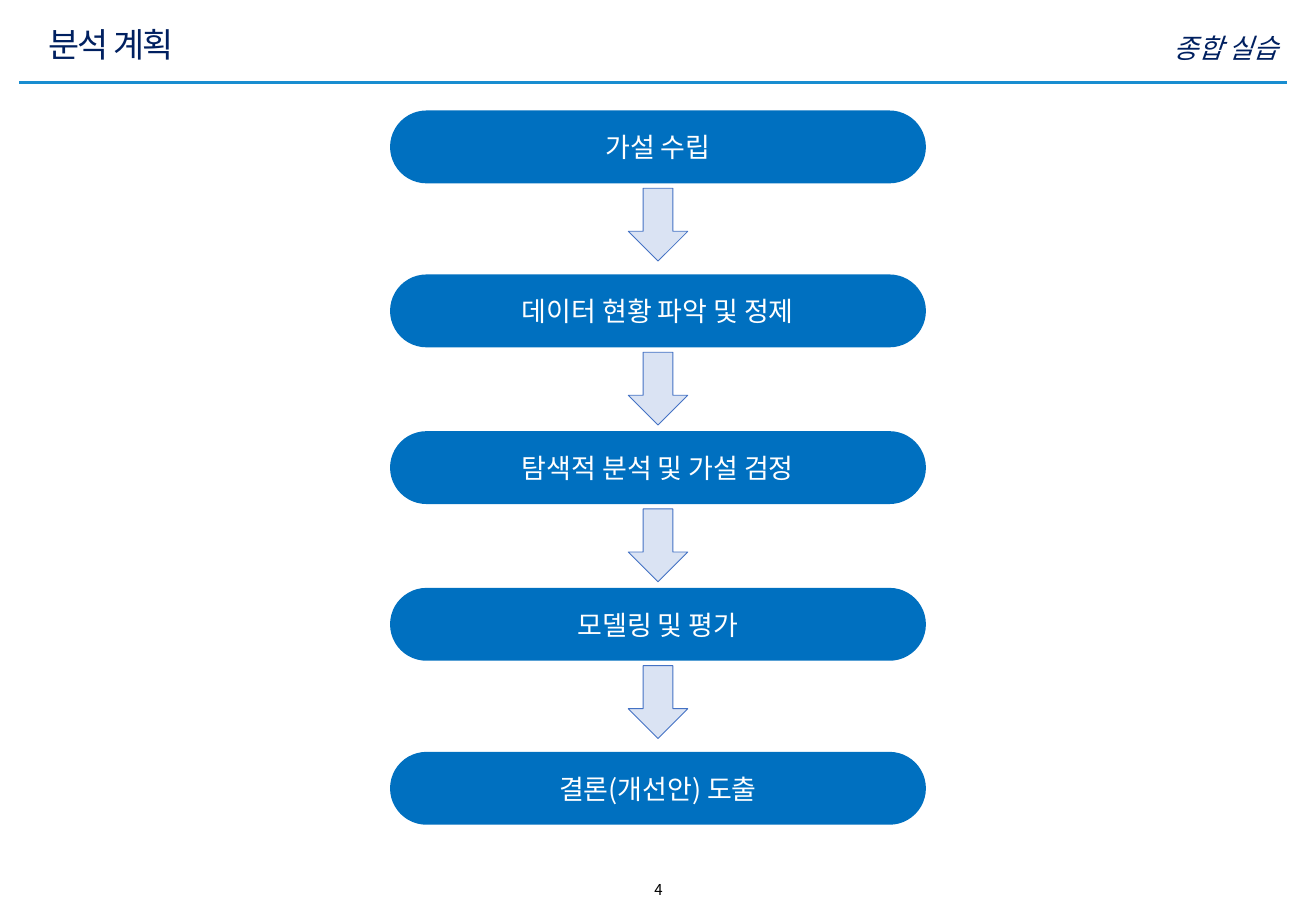
import pptx
import pptx.util
import pptx.dml.color
import pptx.enum.shapes
import pptx.enum.text
import pptx.oxml.ns
import lxml.etree

PX = 9144  # EMU per px, 100 px to the inch
FONT = "Noto Sans CJK KR"
COLORS = {
    "navy": "002060",
    "rule": "188DD0",
    "step": "0070C0",
    "arrow": "DAE3F3",
    "arrow_line": "4472C4",
    "white": "FFFFFF",
    "black": "000000",
}
# Step label and its top within the flow
STEPS = [
    ("가설 수립", 0),
    ("데이터 현황 파악 및 정제", 135),
    ("탐색적 분석 및 가설 검정", 264),
    ("모델링 및 평가", 393),
    ("결론(개선안) 도출", 528),
]
SHAPES = pptx.enum.shapes.MSO_SHAPE
ALIGN = pptx.enum.text.PP_ALIGN


def emu(*lengths):
    return [pptx.util.Emu(length * PX) for length in lengths]


def color(name):
    return pptx.dml.color.RGBColor.from_string(COLORS[name])


def write_text(shape, text, size, fill, align=ALIGN.CENTER, italic=False,
               spacing=None, wrap=True):
    """Put one formatted, vertically centred line into a shape."""
    frame = shape.text_frame
    frame.word_wrap = wrap
    frame.vertical_anchor = pptx.enum.text.MSO_ANCHOR.MIDDLE
    frame.margin_left, frame.margin_right = emu(10, 10)
    frame.margin_top = frame.margin_bottom = 0
    paragraph = frame.paragraphs[0]
    paragraph.alignment = align
    run = paragraph.add_run()
    run.text = text
    run.font.name = FONT
    run.font.size = pptx.util.Pt(size)
    run.font.italic = italic
    run.font.color.rgb = color(fill)
    properties = run.font._element
    latin = properties.find(pptx.oxml.ns.qn("a:latin"))
    east_asian = lxml.etree.Element(pptx.oxml.ns.qn("a:ea"), typeface=FONT)
    latin.addnext(east_asian)
    if spacing is not None:
        properties.set("spc", str(spacing * 100))


def add_text(slide, box, text, **style):
    write_text(slide.shapes.add_textbox(*emu(*box)), text, **style)


def add_block(slide, kind, box, fill, line=None):
    shape = slide.shapes.add_shape(kind, *emu(*box))
    shape.shadow.inherit = False
    shape.fill.solid()
    shape.fill.fore_color.rgb = color(fill)
    if line:
        shape.line.color.rgb = color(line)
        shape.line.width = pptx.util.Pt(0.5)
    else:
        shape.line.fill.background()
    return shape


def add_header(slide, box):
    left, top, width, height = box
    bottom = top + height
    rule = slide.shapes.add_connector(
        pptx.enum.shapes.MSO_CONNECTOR.STRAIGHT,
        *emu(left, bottom, left + width, bottom))
    rule.line.color.rgb = color("rule")
    rule.line.width = pptx.util.Pt(2)
    lxml.etree.SubElement(rule._element.spPr, pptx.oxml.ns.qn("a:effectLst"))
    add_text(slide, (left + 14, top, 851, 44), "분석 계획",
             size=20, fill="navy", align=ALIGN.LEFT, spacing=-1)
    add_text(slide, (left + width - 404, top + 10, 407, 30), "종합 실습",
             size=16, fill="navy", align=ALIGN.RIGHT, italic=True)


def add_flow(slide, box):
    """Stack the steps, with a down arrow after each but the last."""
    left, top, width, height = box
    step_height, arrow_width, arrow_offset = 60, 49, 64
    for label, offset in STEPS:
        step_top = top + offset
        step = add_block(slide, SHAPES.ROUNDED_RECTANGLE,
                         (left, step_top, width, step_height), "step")
        step.adjustments[0] = 0.5
        write_text(step, label, size=16, fill="white", wrap=False)
        if step_top + step_height < top + height:
            arrow_left = left + (width - arrow_width) // 2
            add_block(slide, SHAPES.DOWN_ARROW,
                      (arrow_left, step_top + arrow_offset, arrow_width, step_height),
                      "arrow", "arrow_line")


def main():
    presentation = pptx.Presentation()
    presentation.slide_width, presentation.slide_height = emu(1083, 750)
    slide = presentation.slides.add_slide(presentation.slide_layouts[6])
    add_header(slide, (16, 14, 1043, 54))
    add_flow(slide, (321, 91, 441, 588))
    add_text(slide, (439, 720, 206, 25), "4", size=8.9, fill="black")
    presentation.save("out.pptx")


if __name__ == "__main__":
    main()
